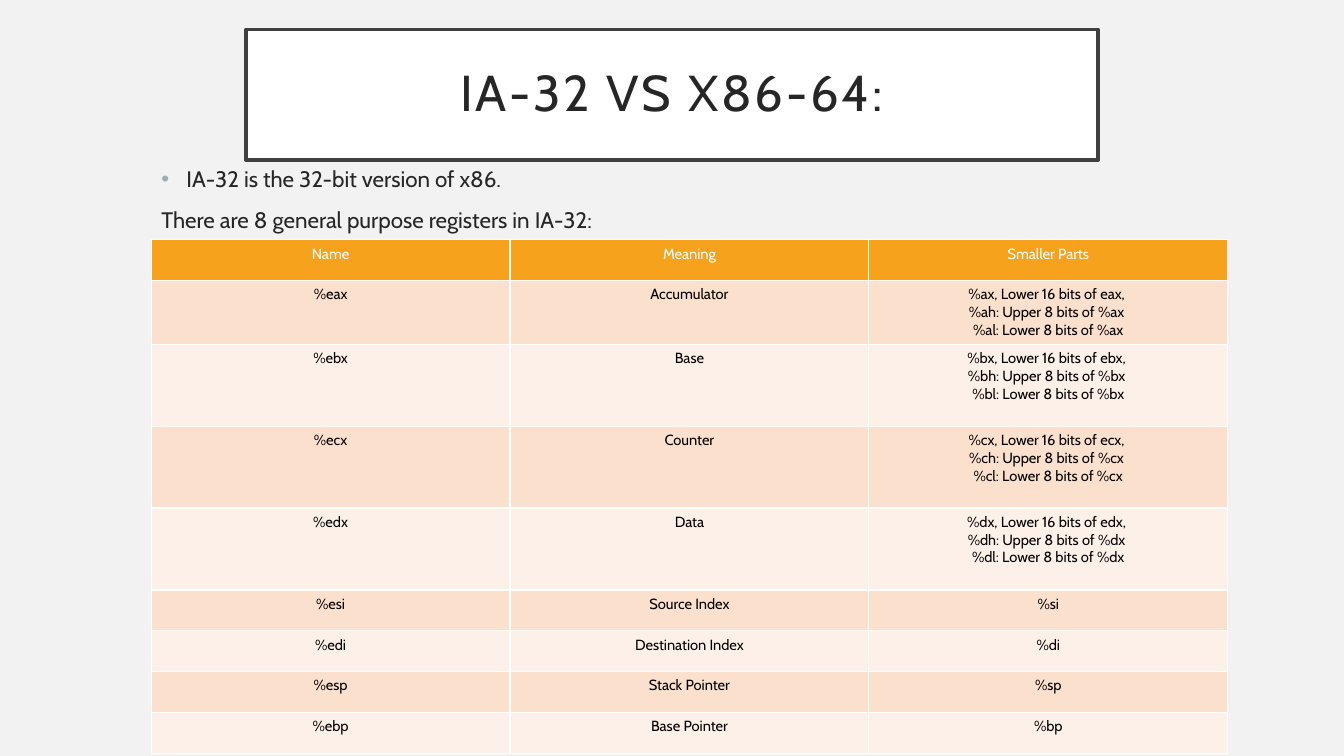
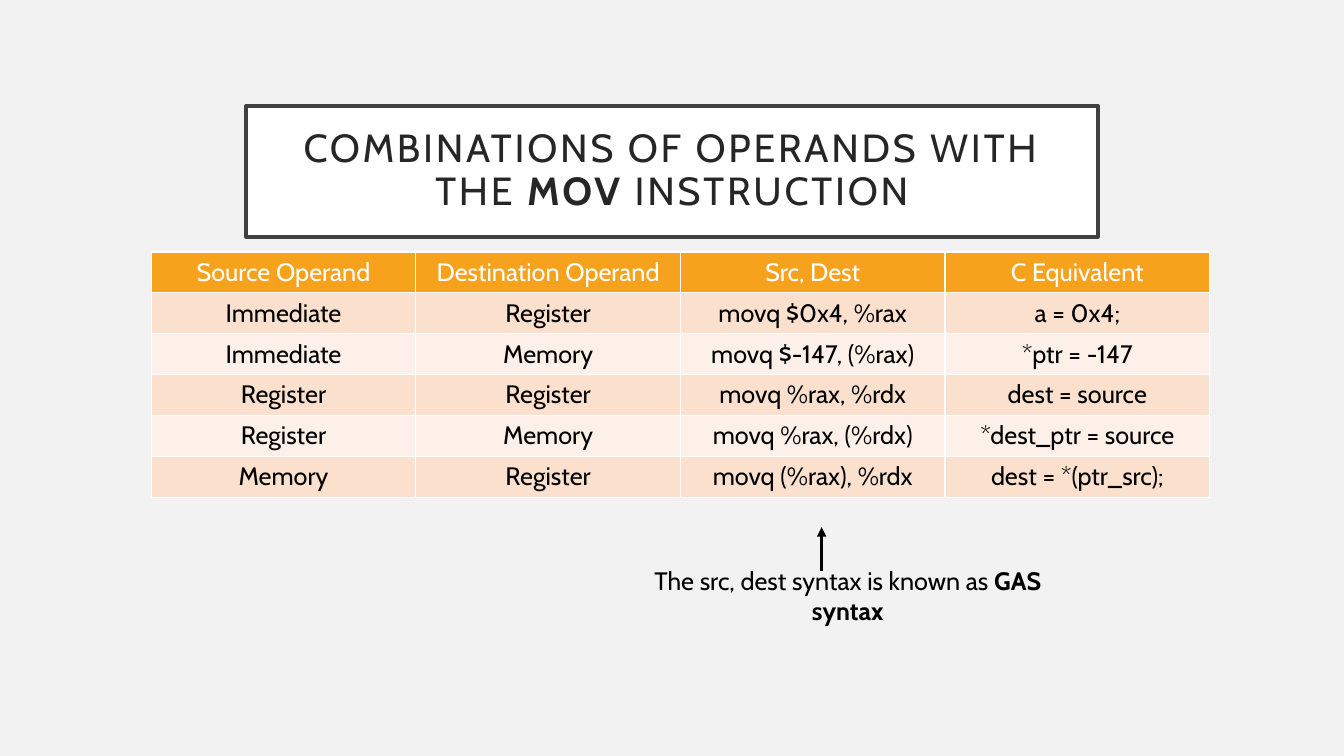
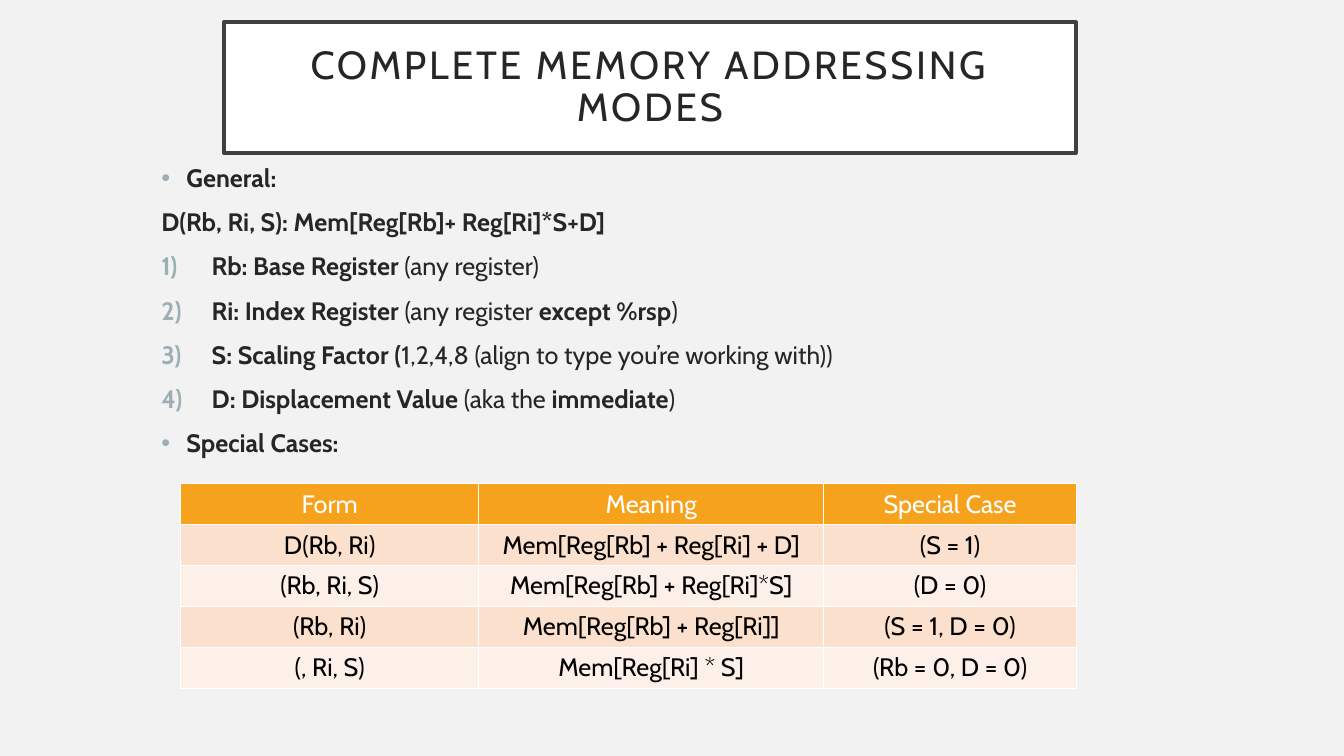
import lxml.etree
import pptx
import pptx.dml.color
import pptx.enum.shapes
import pptx.enum.text
import pptx.oxml.ns
import pptx.util

FONT = "Cabin"
COLORS = {
    "background": "F2F2F2", "white": "FFFFFF", "frame": "404040",
    "text": "262626", "bullet": "9BAFB5", "black": "000000",
    "header": "F6A21D", "odd_row": "FBE0CD", "even_row": "FDF0E8",
}
RGB = {name: pptx.dml.color.RGBColor.from_string(value) for name, value in COLORS.items()}
TITLE_ONLY, TITLE_AND_CONTENT = 5, 1

deck = pptx.Presentation()
deck.slide_width = pptx.util.Inches(13.33)
deck.slide_height = pptx.util.Inches(7.5)
COLUMN = deck.slide_width / 100
ROW = deck.slide_height / 100
LINE_ROW = pptx.util.Pt(29.2)

background = deck.slide_master.background.fill
background.solid()
background.fore_color.rgb = RGB["background"]


def grid_box(left, top, width, height):
    """Turn percentages of the slide into a left, top, width and height."""
    return (int(left * COLUMN), int(top * ROW), int(width * COLUMN), int(height * ROW))


def write_runs(paragraph, text, size, color):
    """Fill a paragraph; every second part between bars is bold."""
    for position, part in enumerate(text.split("|")):
        if part:
            run = paragraph.add_run()
            run.text = part
            run.font.name = FONT
            run.font.size = pptx.util.Pt(size)
            run.font.bold = position % 2 == 1
            run.font.color.rgb = RGB[color]


# Bullet kind: (left margin in inches, bullet element, its attributes)
BULLETS = {
    "dot": (0.25, "a:buChar", {"char": "•"}),
    "number": (0.5, "a:buAutoNum", {"type": "arabicParenR"}),
    "plain": (0, "a:buNone", {}),
}

letter_registers = [
    (f"%e{letter}x", meaning,
     f"%{letter}x, Lower 16 bits of e{letter}x, \n"
     f"%{letter}h: Upper 8 bits of %{letter}x \n"
     f"%{letter}l: Lower 8 bits of %{letter}x")
    for letter, meaning in zip("abcd", ["Accumulator", "Base", "Counter", "Data"])
]
pointer_registers = [
    (f"%e{name}", meaning, f"%{name}")
    for name, meaning in [("si", "Source Index"), ("di", "Destination Index"),
                          ("sp", "Stack Pointer"), ("bp", "Base Pointer")]
]

topics = [
    {
        "title": "IA-32 VS X86-64:", "title_size": 36, "title_at": (18.3, 3.87),
        "body_top": 21.2, "body_size": 16,
        "body": [
            ("dot", "IA-32 is the 32-bit version of x86."),
            ("plain", "There are 8 general purpose registers in IA-32:"),
        ],
        "table_at": (11.25, 31.73), "columns": [26.7] * 3, "table_size": 10.5,
        "tall_rows": {1: 45.4, 2: 58.5, 3: 58.5, 4: 58.5},
        "table": [("Name", "Meaning", "Smaller Parts"), *letter_registers, *pointer_registers],
    },
    {
        "title": "COMBINATIONS OF OPERANDS WITH THE |MOV| INSTRUCTION",
        "title_size": 28, "title_at": (18.3, 14),
        "table_at": (11.25, 33.33), "columns": [19.69] * 4, "table_size": 18,
        "table": [
            ("Source Operand", "Destination Operand", "Src, Dest", "C Equivalent"),
            ("Immediate", "Register", "movq $0x4, %rax", "a = 0x4;"),
            ("Immediate", "Memory", "movq $-147, (%rax)", "*ptr = -147"),
            ("Register", "Register", "movq %rax, %rdx", "dest = source"),
            ("Register", "Memory", "movq %rax, (%rdx)", "*dest_ptr = source"),
            ("Memory", "Register", "movq (%rax), %rdx", "dest = *(ptr_src);"),
        ],
    },
    {
        "title": "COMPLETE MEMORY ADDRESSING MODES",
        "title_size": 28, "title_at": (16.65, 2.93),
        "body_top": 20.8, "body_size": 18,
        "body": [
            ("dot", "|General:"),
            ("plain", "|D(Rb, Ri, S): Mem[Reg[Rb]+ Reg[Ri]*S+D]"),
            ("number", "|Rb: Base Register |(any register)"),
            ("number", "|Ri: Index Register |(any register |except %rsp|)"),
            ("number", "|S: Scaling Factor (|1,2,4,8 (align to type you’re working with))"),
            ("number", "|D: Displacement Value |(aka the |immediate|)"),
            ("dot", "|Special Cases:"),
        ],
        "table_at": (13.43, 64), "columns": [22.2, 25.65, 18.83], "table_size": 18,
        "table": [
            ("Form", "Meaning", "Special Case"),
            ("D(Rb, Ri)", "Mem[Reg[Rb] + Reg[Ri] + D]", "(S = 1)"),
            ("(Rb, Ri, S)", "Mem[Reg[Rb] + Reg[Ri]*S]", "(D = 0)"),
            ("(Rb, Ri)", "Mem[Reg[Rb] + Reg[Ri]]", "(S = 1, D = 0)"),
            ("(, Ri, S)", "Mem[Reg[Ri] * S]", "(Rb = 0, D = 0)"),
        ],
    },
]

for topic in topics:
    layout = TITLE_AND_CONTENT if "body" in topic else TITLE_ONLY
    slide = deck.slides.add_slide(deck.slide_layouts[layout])

    title = slide.shapes.title
    title.left, title.top, title.width, title.height = grid_box(*topic["title_at"], 63.4, 17.33)
    title.fill.solid()
    title.fill.fore_color.rgb = RGB["white"]
    title.line.color.rgb = RGB["frame"]
    title.line.width = pptx.util.Pt(2.5)
    frame = title.text_frame
    frame.auto_size = pptx.enum.text.MSO_AUTO_SIZE.NONE
    frame.vertical_anchor = pptx.enum.text.MSO_ANCHOR.MIDDLE
    frame.margin_left = frame.margin_right = pptx.util.Inches(0.2)
    frame.margin_top = frame.margin_bottom = pptx.util.Inches(0.2)
    heading = frame.paragraphs[0]
    heading.alignment = pptx.enum.text.PP_ALIGN.CENTER
    heading.line_spacing = 0.9
    write_runs(heading, topic["title"], topic["title_size"], "text")
    for run in heading.runs:
        run.font._element.set("spc", "200")

    if "body" in topic:
        body = slide.placeholders[1]
        body.left, body.top, body.width, body.height = grid_box(
            11.25, topic["body_top"], 78.75, 52.27)
        body.text_frame.auto_size = pptx.enum.text.MSO_AUTO_SIZE.NONE
        for index, (kind, text) in enumerate(topic["body"]):
            point = body.text_frame.paragraphs[0] if index == 0 else body.text_frame.add_paragraph()
            indent, bullet, attributes = BULLETS[kind]
            properties = point._p.get_or_add_pPr()
            properties.set("marL", str(pptx.util.Inches(indent)))
            properties.set("indent", str(-pptx.util.Inches(indent)))
            if kind != "plain":
                tint = lxml.etree.SubElement(properties, pptx.oxml.ns.qn("a:buClr"))
                lxml.etree.SubElement(tint, pptx.oxml.ns.qn("a:srgbClr"), val=COLORS["bullet"])
            lxml.etree.SubElement(properties, pptx.oxml.ns.qn(bullet), attributes)
            point.space_before = pptx.util.Pt(10 if index else 0)
            write_runs(point, text, topic["body_size"], "text")

    rows, columns = topic["table"], topic["columns"]
    left, top, width, _ = grid_box(*topic["table_at"], sum(columns), 0)
    table = slide.shapes.add_table(
        len(rows), len(columns), left, top, width, LINE_ROW * len(rows)).table
    for column, share in zip(table.columns, columns):
        column.width = int(share * COLUMN)
    for row_index, values in enumerate(rows):
        tall = topic.get("tall_rows", {}).get(row_index)
        table.rows[row_index].height = pptx.util.Pt(tall) if tall else LINE_ROW
        if row_index == 0:
            fill, ink = "header", "white"
        else:
            fill, ink = ("odd_row" if row_index % 2 else "even_row"), "black"
        for column_index, value in enumerate(values):
            cell = table.cell(row_index, column_index)
            cell.fill.solid()
            cell.fill.fore_color.rgb = RGB[fill]
            cell.text_frame.text = value
            for paragraph in cell.text_frame.paragraphs:
                paragraph.alignment = pptx.enum.text.PP_ALIGN.CENTER
                for run in paragraph.runs:
                    run.font.name = FONT
                    run.font.size = pptx.util.Pt(topic["table_size"])
                    run.font.bold = False
                    run.font.color.rgb = RGB[ink]

# Remark under the operand table, with an arrow up to its "Src, Dest" column
operands = deck.slides[1]
remark = operands.shapes.add_textbox(*grid_box(46.05, 74.13, 34.05, 9.47)).text_frame
remark.word_wrap = True
remark.paragraphs[0].alignment = pptx.enum.text.PP_ALIGN.CENTER
write_runs(remark.paragraphs[0], "The src, dest syntax is known as |GAS syntax", 18, "black")

arrow_x, arrow_top, _, arrow_length = grid_box(61.13, 69.73, 0, 5.74)
arrow = operands.shapes.add_connector(
    pptx.enum.shapes.MSO_CONNECTOR.STRAIGHT,
    arrow_x, arrow_top + arrow_length, arrow_x, arrow_top)
arrow.line.color.rgb = RGB["black"]
arrow.line.width = pptx.util.Pt(2.25)
lxml.etree.SubElement(arrow.line._get_or_add_ln(), pptx.oxml.ns.qn("a:tailEnd"), type="triangle")
lxml.etree.SubElement(arrow._element.spPr, pptx.oxml.ns.qn("a:effectLst"))

deck.save("out.pptx")
